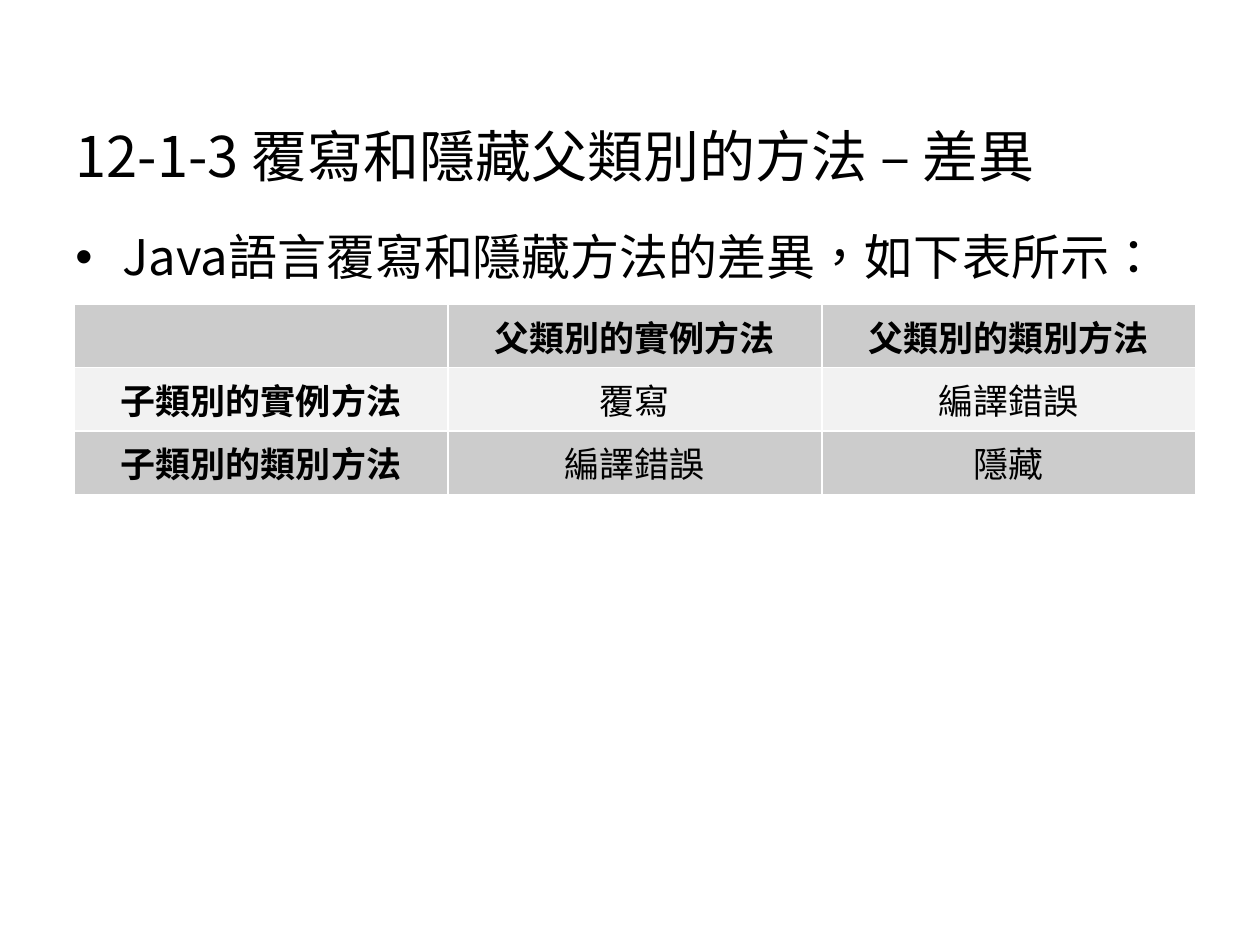
from dataclasses import dataclass

from lxml import etree
from pptx import Presentation
from pptx.dml.color import RGBColor
from pptx.enum.lang import MSO_LANGUAGE_ID
from pptx.enum.text import MSO_ANCHOR, MSO_AUTO_SIZE, PP_ALIGN
from pptx.oxml.ns import qn
from pptx.util import Pt

LEFT, CENTER = PP_ALIGN.LEFT, PP_ALIGN.CENTER
TOP, BOTTOM = MSO_ANCHOR.TOP, MSO_ANCHOR.BOTTOM
NO_AUTOFIT = MSO_AUTO_SIZE.NONE
TAIWANESE = MSO_LANGUAGE_ID.TRADITIONAL_CHINESE


@dataclass(frozen=True)
class Theme:
    text: str = "000000"
    band_dark: str = "CCCCCC"
    band_light: str = "F2F2F2"
    border: str = "FFFFFF"
    border_width: float = 0.96
    sans: str = "Noto Sans CJK SC"
    serif: str = "Times New Roman"
    title_size: int = 32
    body_size: int = 28
    cell_size: int = 20


@dataclass(frozen=True)
class Frame:
    left: float
    top: float
    width: float
    height: float

    def lengths(self) -> tuple:
        return Pt(self.left), Pt(self.top), Pt(self.width), Pt(self.height)


THEME = Theme()
TITLE = Frame(36, 21.6, 648, 90)
BODY = Frame(36, 126, 648, 356.4)
GRID = Frame(42.3, 173.7, 641, 93.6)
BULLET_INDENT = 27
COMPARISON = [
    ["", "父類別的實例方法", "父類別的類別方法"],
    ["子類別的實例方法", "覆寫", "編譯錯誤"],
    ["子類別的類別方法", "編譯錯誤", "隱藏"],
]


def add_span(para, text: str, size: int, latin: str, bold: bool = False) -> None:
    span = para.add_run()
    span.text = text
    font = span.font
    font.size = Pt(size)
    font.bold = bold
    font.name = latin
    font.language_id = TAIWANESE
    font.color.rgb = RGBColor.from_string(THEME.text)
    latin_element = span._r.rPr.find(qn("a:latin"))
    east_asian = etree.Element(qn("a:ea"), typeface=THEME.sans)
    latin_element.addnext(east_asian)


def place(box, frame: Frame, anchor) -> None:
    box.left, box.top, box.width, box.height = frame.lengths()
    box.text_frame.word_wrap = True
    box.text_frame.auto_size = NO_AUTOFIT
    box.text_frame.vertical_anchor = anchor


def set_bullet(para, indent: float) -> None:
    properties = para._p.get_or_add_pPr()
    properties.set("marL", str(Pt(indent)))
    properties.set("indent", str(-Pt(indent)))
    color = etree.SubElement(properties, qn("a:buClr"))
    etree.SubElement(color, qn("a:srgbClr"), val=THEME.text)
    etree.SubElement(properties, qn("a:buFont"), typeface="Arial")
    etree.SubElement(properties, qn("a:buChar"), char="•")


def set_borders(cell, sides: list[str]) -> None:
    properties = cell._tc.get_or_add_tcPr()
    for position, side in enumerate(sides):
        line = etree.Element(qn(f"a:{side}"), w=str(Pt(THEME.border_width)))
        fill = etree.SubElement(line, qn("a:solidFill"))
        etree.SubElement(fill, qn("a:srgbClr"), val=THEME.border)
        properties.insert(position, line)


def add_comparison(slide, frame: Frame, rows: list[list[str]]) -> None:
    last_row, last_column = len(rows) - 1, len(rows[0]) - 1
    table = slide.shapes.add_table(len(rows), len(rows[0]), *frame.lengths()).table
    for row, texts in enumerate(rows):
        band = THEME.band_light if row % 2 else THEME.band_dark
        for column, text in enumerate(texts):
            cell = table.cell(row, column)
            cell.fill.solid()
            cell.fill.fore_color.rgb = RGBColor.from_string(band)
            inner = {
                "lnL": column > 0,
                "lnR": column < last_column,
                "lnT": row > 0,
                "lnB": row < last_row,
            }
            set_borders(cell, [side for side, drawn in inner.items() if drawn])
            if text:
                para = cell.text_frame.paragraphs[0]
                para.alignment = CENTER
                heading = row == 0 or column == 0
                add_span(para, text, THEME.cell_size, THEME.serif, heading)


def main() -> None:
    deck = Presentation()
    deck.slide_width, deck.slide_height = Pt(720), Pt(540)
    page = deck.slides.add_slide(deck.slide_layouts[5])

    title = page.shapes.title
    place(title, TITLE, BOTTOM)
    para = title.text_frame.paragraphs[0]
    para.alignment = LEFT
    add_span(para, "12-1-3 覆寫和隱藏父類別的方法 – 差異", THEME.title_size, THEME.sans)

    body = page.shapes.add_textbox(*BODY.lengths())
    place(body, BODY, TOP)
    para = body.text_frame.paragraphs[0]
    para.space_before = Pt(7)
    set_bullet(para, BULLET_INDENT)
    add_span(para, "Java語言覆寫和隱藏方法的差異，如下表所示：", THEME.body_size, THEME.sans)

    add_comparison(page, GRID, COMPARISON)
    deck.save("out.pptx")


if __name__ == "__main__":
    main()
